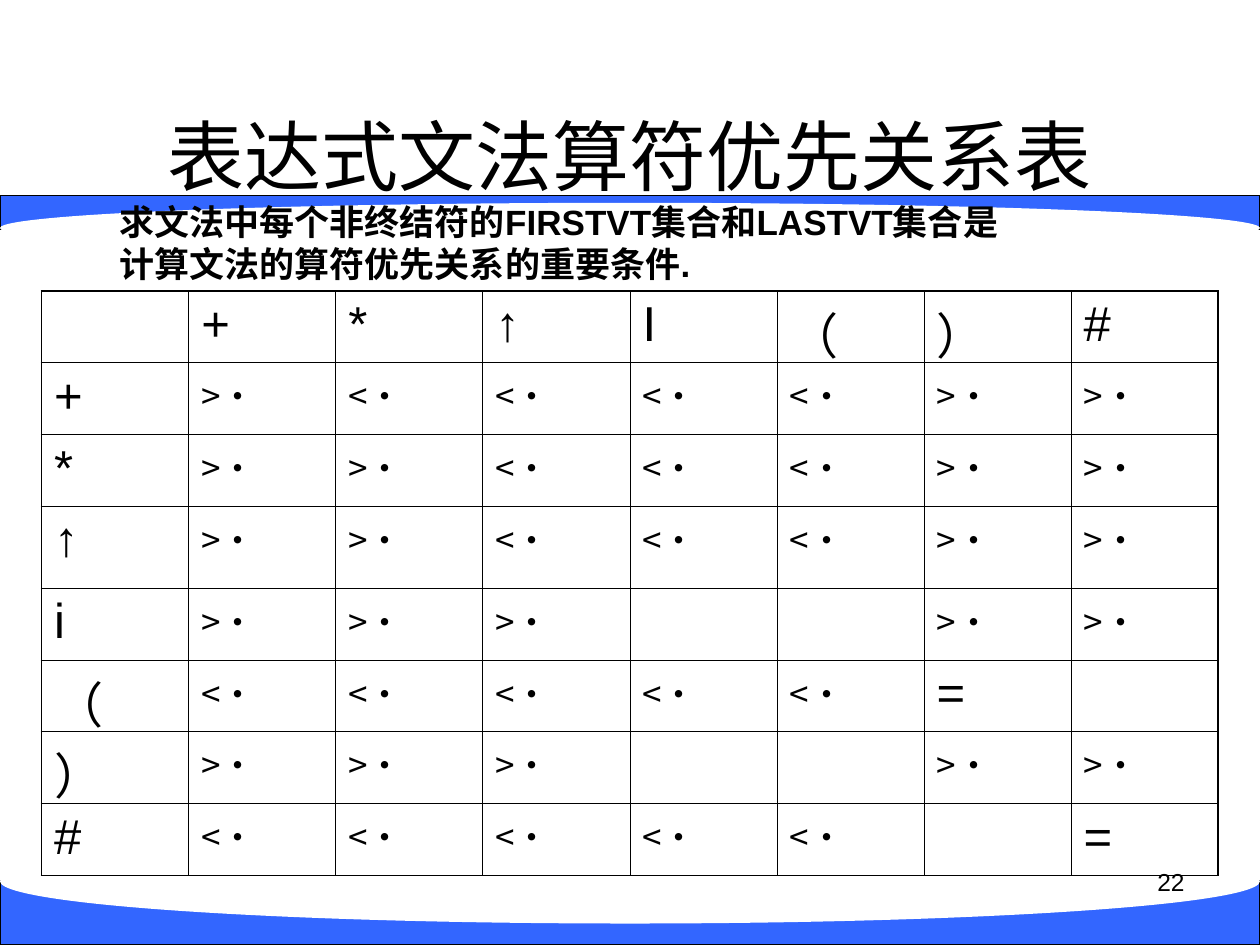
from lxml.etree import SubElement
from pptx import Presentation
from pptx.dml.color import RGBColor
from pptx.enum.shapes import MSO_SHAPE
from pptx.enum.text import MSO_ANCHOR, PP_ALIGN
from pptx.oxml.ns import qn
from pptx.util import Inches, Pt


def color(value):
    return RGBColor.from_string(value)


def add_run(paragraph, text, size, font_name="Arial", bold=False):
    run = paragraph.add_run()
    run.text = text
    run.font.size = Pt(size)
    run.font.name = font_name
    run.font.bold = bold
    run.font.color.rgb = color("000000")
    SubElement(run.font._element, qn("a:ea")).set("typeface", "Noto Sans CJK SC")


presentation = Presentation()
presentation.slide_width = Inches(10)
presentation.slide_height = Inches(7.5)
slide = presentation.slides.add_slide(presentation.slide_layouts[6])

bands = [
    (MSO_SHAPE.RECTANGLE, 1.55, 0.27, "3366FF"),
    (MSO_SHAPE.OVAL, 1.61, 0.4, "FFFFFF"),
    (MSO_SHAPE.RECTANGLE, 6.99, 0.51, "3366FF"),
    (MSO_SHAPE.OVAL, 6.66, 0.67, "FFFFFF"),
]
for kind, top, height, fill in bands:
    shape = slide.shapes.add_shape(kind, 0, Inches(top), Inches(10), Inches(height))
    shape.shadow.inherit = False
    shape.fill.solid()
    shape.fill.fore_color.rgb = color(fill)
    if kind == MSO_SHAPE.RECTANGLE:
        shape.line.color.rgb = color("000000")
        shape.line.width = Pt(0.75)
    else:
        shape.line.fill.background()

title = slide.shapes.add_textbox(Inches(0.33), Inches(0.6), Inches(9.34), Inches(1.25))
title.text_frame.word_wrap = True
title.text_frame.vertical_anchor = MSO_ANCHOR.MIDDLE
title_paragraph = title.text_frame.paragraphs[0]
title_paragraph.alignment = PP_ALIGN.CENTER
add_run(title_paragraph, "表达式文法算符优先关系表", 44)

symbols = ["+", "*", "↑", "i", "（", "）", "#"]
relations = [">< <<<>>".replace(" ", ""), ">><<<>>", ">><<<>>", ">>>  >>", "<<<<<= ", ">>>  >>", "<<<<< ="]
rows = [["", "+", "*", "↑", "I", "（", "）", "#"]]
rows += [[symbol, *row] for symbol, row in zip(symbols, relations)]
row_heights = [0.57, 0.57, 0.57, 0.65, 0.57, 0.57, 0.57, 0.57]
last = len(rows) - 1

table = slide.shapes.add_table(
    len(rows), len(rows), Inches(0.33), Inches(2.31), Inches(9.34), Inches(sum(row_heights))
).table
table.first_row = False
table.horz_banding = False
for column in table.columns:
    column.width = Inches(9.34 / len(rows))

for row_index, row in enumerate(rows):
    table.rows[row_index].height = Inches(row_heights[row_index])
    for column_index, text in enumerate(row):
        cell = table.cell(row_index, column_index)
        properties = cell._tc.get_or_add_tcPr()
        outer_sides = {
            "a:lnL": column_index == 0,
            "a:lnR": column_index == last,
            "a:lnT": row_index == 0,
            "a:lnB": row_index == last,
        }
        for side, is_outer in outer_sides.items():
            border = SubElement(properties, qn(side), w=str(Pt(1.08 if is_outer else 0.45)))
            border_fill = SubElement(border, qn("a:solidFill"))
            SubElement(border_fill, qn("a:srgbClr"), val="000000")
        cell.fill.background()
        paragraph = cell.text_frame.paragraphs[0]
        if text in ("<", ">"):
            add_run(paragraph, text + "·", 20, "Noto Sans CJK SC")
        elif text.strip():
            add_run(paragraph, text, 28)

number = slide.shapes.add_textbox(Inches(7.17), Inches(6.83), Inches(2.33), Inches(0.52))
number.text_frame.word_wrap = True
number_paragraph = number.text_frame.paragraphs[0]
number_paragraph.alignment = PP_ALIGN.RIGHT
add_run(number_paragraph, "22", 14)

note = slide.shapes.add_textbox(Inches(0.85), Inches(1.54), Inches(7.44), Inches(0.77))
note.text_frame.word_wrap = False
note_lines = ["求文法中每个非终结符的FIRSTVT集合和LASTVT集合是", "计算文法的算符优先关系的重要条件."]
add_run(note.text_frame.paragraphs[0], note_lines[0], 20, bold=True)
add_run(note.text_frame.add_paragraph(), note_lines[1], 20, bold=True)

presentation.save("out.pptx")
